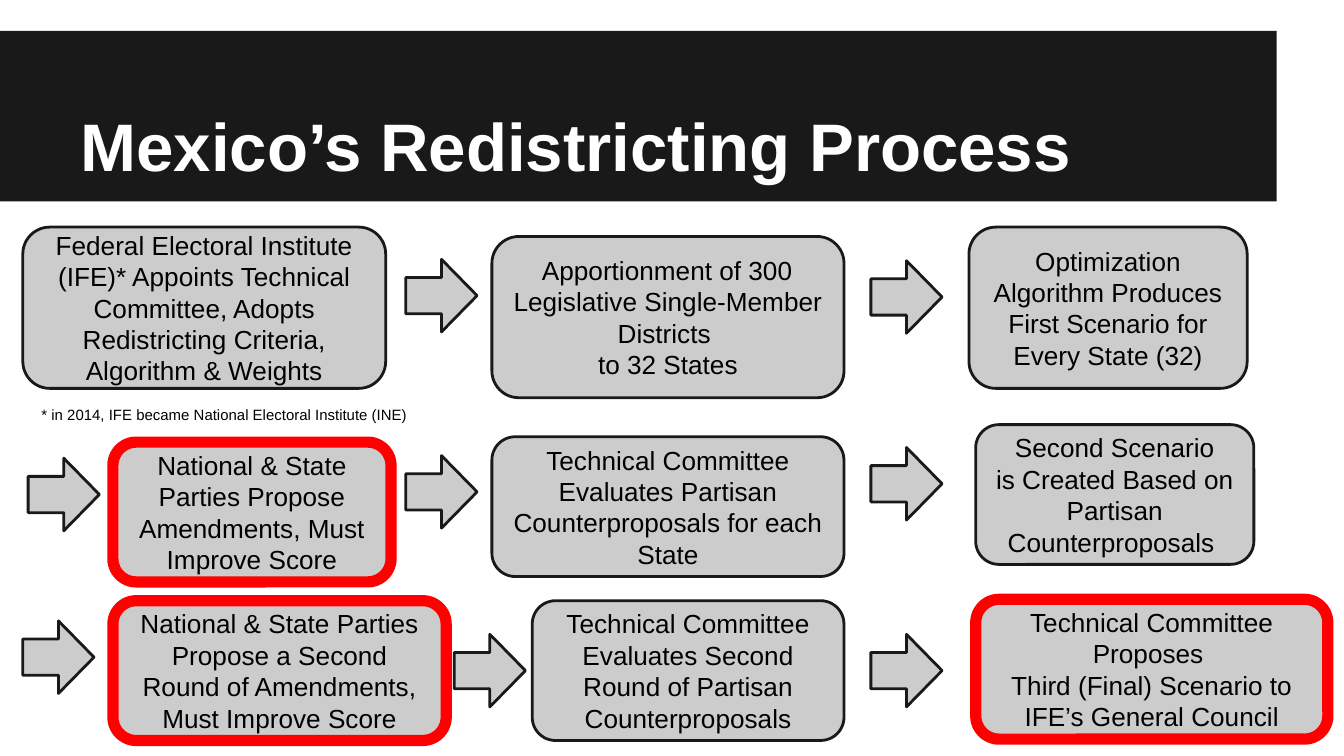
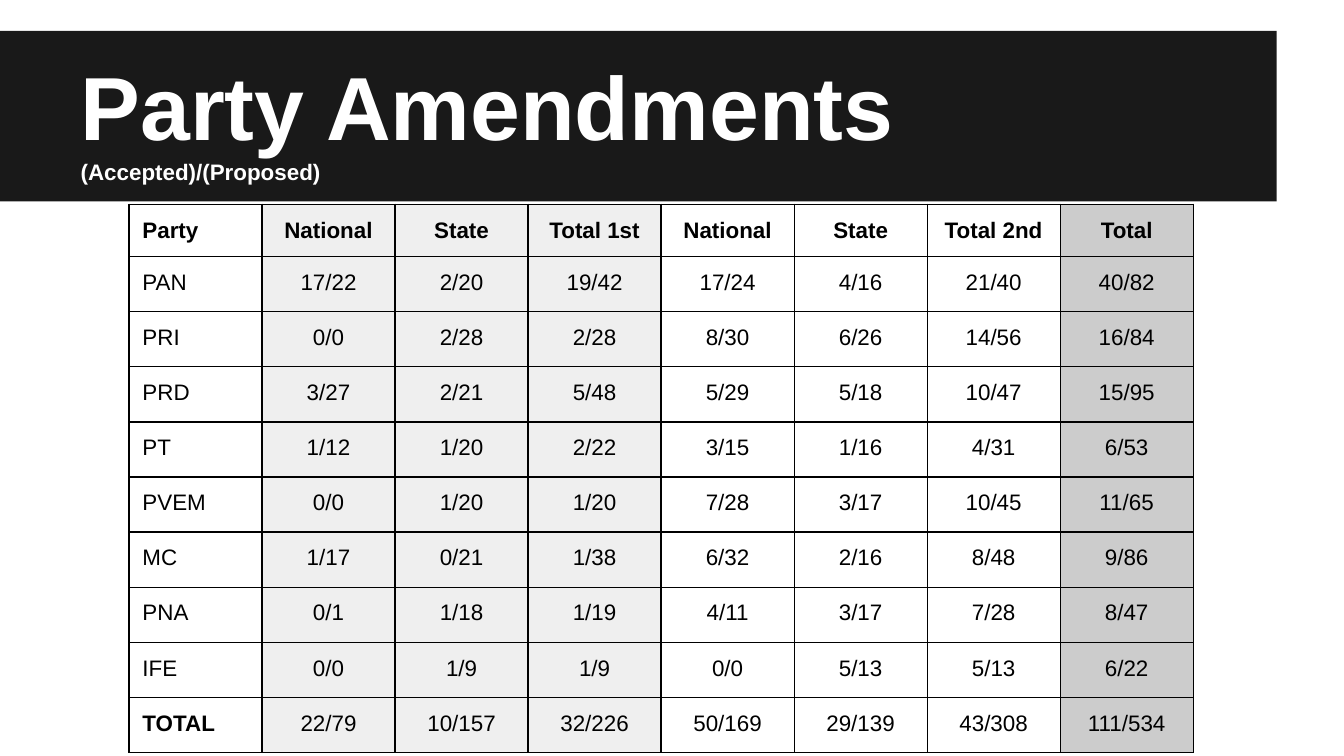
import pptx
import pptx.util
import pptx.dml.color
import pptx.enum.shapes
import pptx.enum.text
import pptx.oxml
import pptx.oxml.ns

Inches = pptx.util.Inches
Pt = pptx.util.Pt
Color = pptx.dml.color.RGBColor
Kind = pptx.enum.shapes.MSO_SHAPE
Align = pptx.enum.text.PP_ALIGN
Anchor = pptx.enum.text.MSO_ANCHOR

BLACK = Color(0x00, 0x00, 0x00)
WHITE = Color(0xFF, 0xFF, 0xFF)
INK = Color(0x19, 0x19, 0x19)
GREY = Color(0xCC, 0xCC, 0xCC)
PALE = Color(0xEF, 0xEF, 0xEF)
RED = Color(0xFF, 0x00, 0x00)

WIDE = 10
HIGH = WIDE * 9 / 16
PAD = Inches(0.1)
INSET = {"margin_left": PAD, "margin_right": PAD, "margin_top": PAD, "margin_bottom": PAD}
FRAME = {**INSET, "word_wrap": True, "auto_size": pptx.enum.text.MSO_AUTO_SIZE.NONE}
BAND = (0, 0.23, 9.5, 1.27)
ARROW = (0.53, 0.54)

ROWS = [
    {
        "box": (0, 1.69, WIDE, 1.2),
        "arrows": [(3.02, 0.24), (6.48, 0.25)],
        "steps": [
            (0.17, 0, 2.7, INK, ["Federal Electoral Institute (IFE)* Appoints Technical Committee, "
                                 "Adopts Redistricting Criteria, Algorithm & Weights"]),
            (3.66, 0.07, 2.62, INK, [" Apportionment of 300 ",
                                     "Legislative Single-Member Districts ", "to 32 States"]),
            (7.21, 0, 2.07, INK, ["Optimization Algorithm Produces First Scenario for "
                                  "Every State (32)"]),
        ],
    },
    {
        "box": (0, 3.16, WIDE, 1.04),
        "arrows": [(0.21, 0.25), (3.02, 0.23), (6.48, 0.17)],
        "steps": [
            (0.84, 0.13, 2.07, RED, ["National & State Parties Propose Amendments, "
                                     "Must Improve Score"]),
            (3.66, 0.09, 2.62, INK, ["Technical Committee Evaluates Partisan "
                                     "Counterproposals for each State"]),
            (7.26, 0, 2.07, INK, ["Second Scenario",
                                  "is Created Based on Partisan Counterproposals "]),
        ],
    },
    {
        "box": (0, 4.46, WIDE, 1.04),
        "arrows": [(0.17, 0.16), (3.38, 0.26), (6.48, 0.26)],
        "steps": [
            (0.84, 0.01, 2.48, RED, ["National & State Parties Propose a Second Round of "
                                     "Amendments, Must Improve Score"]),
            (3.96, 0.01, 2.32, INK, ["Technical Committee Evaluates Second Round of "
                                     "Partisan Counterproposals"]),
            (7.26, 0, 2.62, RED, ["Technical Committee Proposes ",
                                  "Third (Final) Scenario to IFE’s General Council"]),
        ],
    },
]

VOTES = [
    ["Party", "National", "State", "Total 1st", "National", "State", "Total 2nd", "Total"],
    ["PAN", "17/22", "2/20", "19/42", "17/24", "4/16", "21/40", "40/82"],
    ["PRI", "0/0", "2/28", "2/28", "8/30", "6/26", "14/56", "16/84"],
    ["PRD", "3/27", "2/21", "5/48", "5/29", "5/18", "10/47", "15/95"],
    ["PT", "1/12", "1/20", "2/22", "3/15", "1/16", "4/31", "6/53"],
    ["PVEM", "0/0", "1/20", "1/20", "7/28", "3/17", "10/45", "11/65"],
    ["MC", "1/17", "0/21", "1/38", "6/32", "2/16", "8/48", "9/86"],
    ["PNA", "0/1", "1/18", "1/19", "4/11", "3/17", "7/28", "8/47"],
    ["IFE", "0/0", "1/9", "1/9", "0/0", "5/13", "5/13", "6/22"],
    ["TOTAL", "22/79", "10/157", "32/226", "50/169", "29/139", "43/308", "111/534"],
]
FILLS = [None, PALE, PALE, PALE, None, None, None, GREY]


def style(item, values):
    for key, value in values.items():
        setattr(item, key, value)


def place(item, box):
    style(item, dict(zip(("left", "top", "width", "height"), map(Inches, box))))


def write(frame, lines, align=Align.LEFT, color=BLACK, bold=False):
    for pos, (text, size) in enumerate(lines):
        para = frame.paragraphs[0] if pos == 0 else frame.add_paragraph()
        para.alignment = align
        run = para.add_run()
        run.text = text
        style(run.font, {"name": "Arial", "size": Pt(size), "bold": bold})
        run.font.color.rgb = color


def draw(slide, kind, box, fill, line=None, weight=1.5):
    shape = slide.shapes.add_shape(kind, *map(Inches, box))
    shape.shadow.inherit = False
    shape.fill.solid()
    shape.fill.fore_color.rgb = fill
    if line is None:
        shape.line.fill.background()
    else:
        shape.line.color.rgb = line
        shape.line.width = Pt(weight)
    return shape


def header(deck, box, lines):
    slide = deck.slides.add_slide(deck.slide_layouts[5])
    title = slide.shapes.title
    band = draw(slide, Kind.RECTANGLE, box, INK)
    title.element.addprevious(band.element)
    left, top, width, height = box
    place(title, (left + 0.5, top, width - 0.5, height - 0.02))
    style(title.text_frame, {**FRAME, "vertical_anchor": Anchor.BOTTOM})
    write(title.text_frame, lines, color=WHITE, bold=True)
    return slide


def flow(slide, box, arrows, steps):
    left, top, width, height = box
    for x, y in arrows:
        draw(slide, Kind.RIGHT_ARROW, (left + x, top + y, *ARROW), GREY, INK)
    for x, y, wide, edge, lines in steps:
        shape = draw(slide, Kind.FLOWCHART_ALTERNATE_PROCESS,
                     (left + x, top + y, wide, height), GREY, edge, 6 if edge == RED else 1.5)
        style(shape.text_frame, {**FRAME, "vertical_anchor": Anchor.MIDDLE})
        write(shape.text_frame, [(line, 14) for line in lines], Align.CENTER)


def note(slide, box, text):
    frame = slide.shapes.add_textbox(*map(Inches, box)).text_frame
    style(frame, FRAME)
    write(frame, [(text, 8)])


def border(cell):
    props = cell._tc.get_or_add_tcPr()
    for side in "LRTB":
        props.append(pptx.oxml.parse_xml(
            f'<a:ln{side} {pptx.oxml.ns.nsdecls("a")} w="{Pt(0.75)}">'
            f'<a:solidFill><a:srgbClr val="{BLACK}"/></a:solidFill></a:ln{side}>'))


def grid(slide, box, data):
    table = slide.shapes.add_table(len(data), len(data[0]), *map(Inches, box)).table
    style(table, {"first_row": False, "horz_banding": False})
    for col in table.columns:
        col.width = Inches(box[2] / len(data[0]))
    for r, row in enumerate(data):
        table.rows[r].height = Inches(0.41 if r else 0.39)
        for c, text in enumerate(row):
            cell = table.cell(r, c)
            style(cell, INSET)
            border(cell)
            if FILLS[c] is None:
                cell.fill.background()
            else:
                cell.fill.solid()
                cell.fill.fore_color.rgb = FILLS[c]
            write(cell.text_frame, [(text, 12)], Align.CENTER if c else Align.LEFT,
                  bold=r == 0 or text == "TOTAL")


def main():
    deck = pptx.Presentation()
    style(deck, {"slide_width": Inches(WIDE), "slide_height": Inches(HIGH)})
    slide = header(deck, BAND, [("Mexico’s Redistricting Process", 36)])
    for row in ROWS:
        flow(slide, **row)
    note(slide, (0.21, 2.92, 3.09, 0.33),
         "* in 2014, IFE became National Electoral Institute (INE)")
    slide = header(deck, BAND, [("Party Amendments", 48), ("(Accepted)/(Proposed)", 12)])
    grid(slide, (0.96, 1.52, 7.92, 4.08), VOTES)
    deck.save("out.pptx")


if __name__ == "__main__":
    main()
